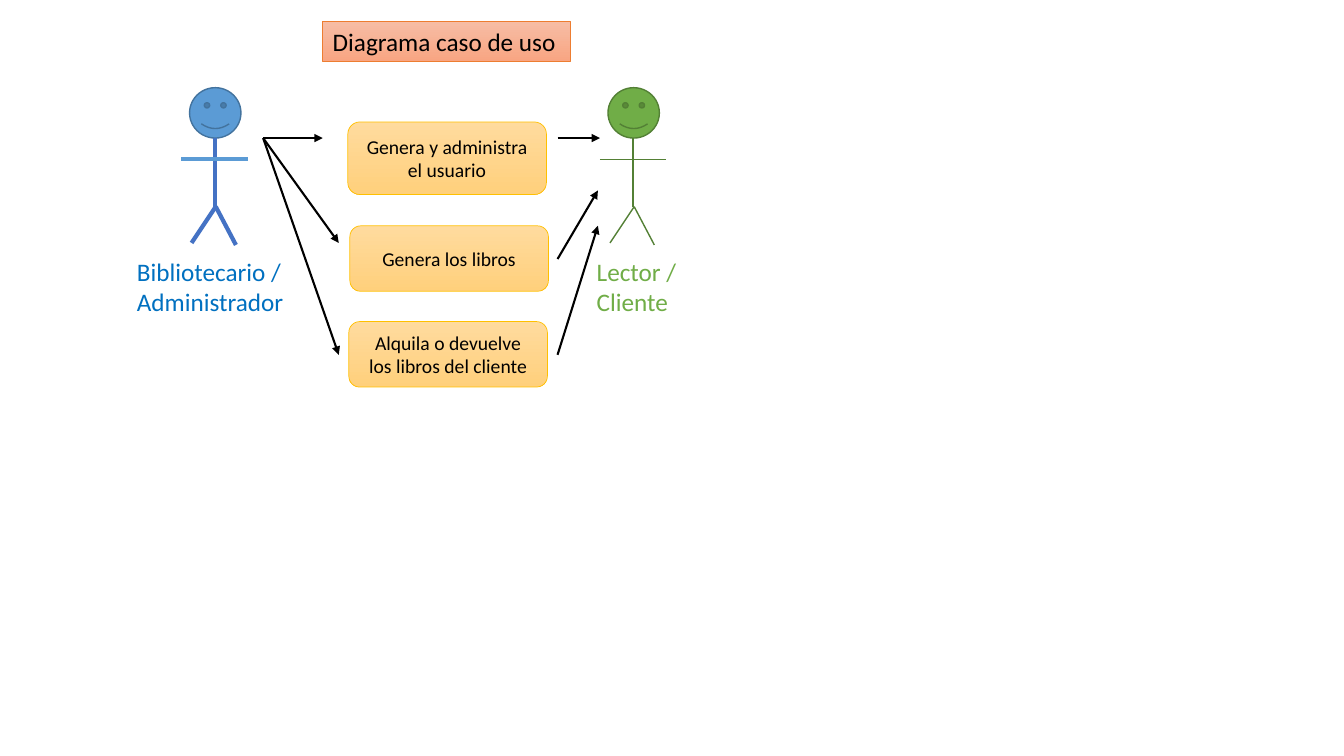
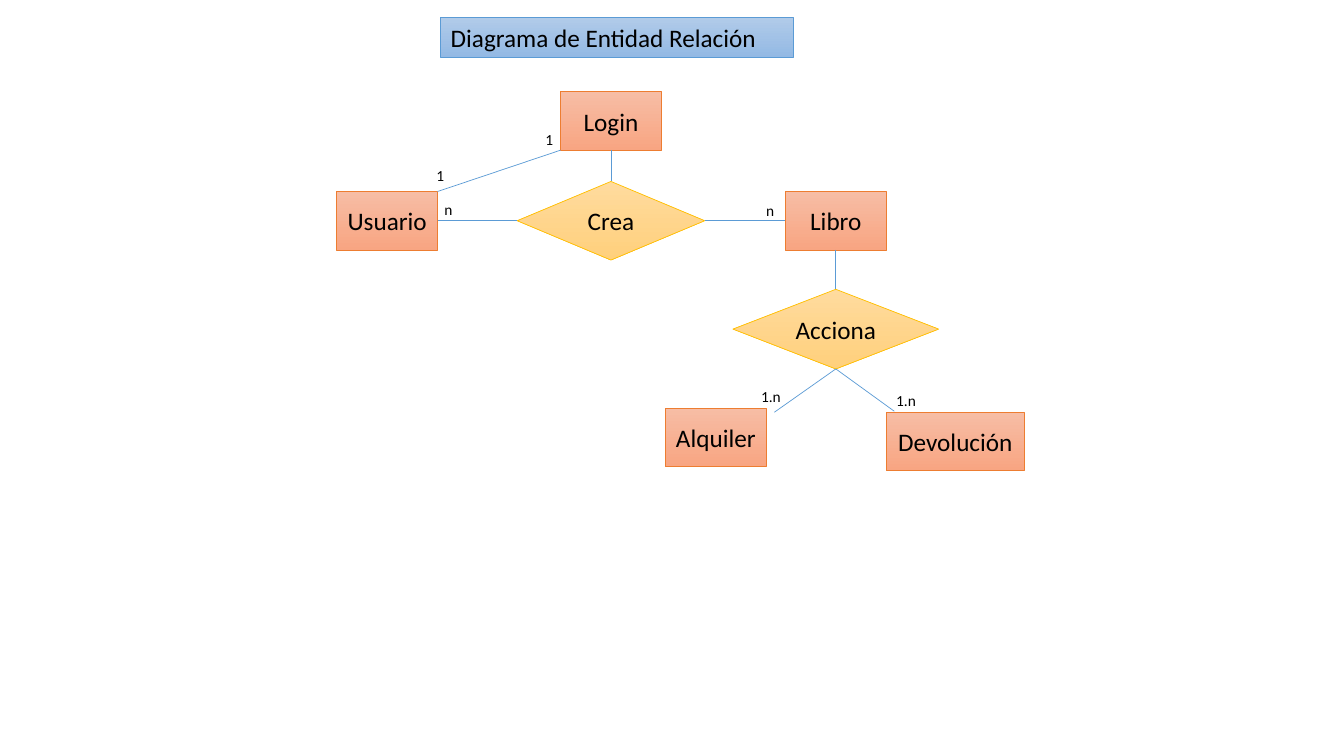
"""Build two slides: a use case diagram and an entity relationship diagram."""
from dataclasses import dataclass

from lxml import etree
from pptx import Presentation
from pptx.dml.color import RGBColor
from pptx.enum.shapes import MSO_CONNECTOR, MSO_SHAPE
from pptx.enum.text import MSO_ANCHOR, MSO_AUTO_SIZE, PP_ALIGN
from pptx.oxml.ns import qn
from pptx.util import Emu, Pt

EMU_PER_PX = 9144
TITLE_ONLY = 5
TOP, LEFT, BOTTOM, RIGHT = range(4)
STRAIGHT, ELBOW = MSO_CONNECTOR.STRAIGHT, MSO_CONNECTOR.ELBOW
RECT, ROUNDED = MSO_SHAPE.RECTANGLE, MSO_SHAPE.ROUNDED_RECTANGLE
DIAMOND, SMILEY = MSO_SHAPE.DIAMOND, MSO_SHAPE.SMILEY_FACE
ALIGN_LEFT, ALIGN_CENTER = PP_ALIGN.LEFT, PP_ALIGN.CENTER
ANCHOR_TOP, ANCHOR_MIDDLE = MSO_ANCHOR.TOP, MSO_ANCHOR.MIDDLE


@dataclass(frozen=True)
class Paint:
    """A vertical gradient with its outline colour."""
    start: str
    end: str
    outline: str


@dataclass(frozen=True)
class ActorStyle:
    """The colours and line width of one stick figure."""
    head: str
    outline: str
    body: str
    arms: str
    label: str
    stroke: float


@dataclass(frozen=True)
class Theme:
    """Colours, font and sizes shared by the slides."""
    font: str = "Calibri"
    ink: str = "000000"
    link: str = "5B9BD5"
    heading: int = 18
    case: int = 14
    cardinality: int = 11
    hairline: float = 0.5
    arrow: float = 1.5
    orange: Paint = Paint("F7BDA5", "F8A582", "ED7D31")
    yellow: Paint = Paint("FFDB9E", "FFD07C", "FFC000")
    blue: Paint = Paint("B1CBE9", "93B9E4", "5B9BD5")
    librarian: ActorStyle = ActorStyle(
        "5B9BD5", "43739E", "4472C4", "5B9BD5", "0070C0", 3)
    reader: ActorStyle = ActorStyle(
        "70AD47", "538035", "538035", "538035", "70AD47", 1)


THEME = Theme()


def px(*lengths):
    """Turn pixel lengths into EMU."""
    return [Emu(length * EMU_PER_PX) for length in lengths]


def rgb(value):
    """Turn a hex string into a colour."""
    return RGBColor.from_string(value)


def write(shape, text, size, color=THEME.ink, align=ALIGN_LEFT, anchor=ANCHOR_TOP):
    """Put one formatted run of text into a shape."""
    frame = shape.text_frame
    frame.vertical_anchor = anchor
    para = frame.paragraphs[0]
    para.alignment = align
    para.line_spacing = 1.0
    span = para.add_run()
    span.text = text
    span.font.name = THEME.font
    span.font.size = Pt(size)
    span.font.color.rgb = rgb(color)


def outline(shape, color, width):
    """Set the line of a shape or connector."""
    shape.line.color.rgb = rgb(color)
    shape.line.width = Pt(width)


def paint_gradient(shape, paint):
    """Fill a shape from top to bottom and outline it."""
    shape.fill.gradient()
    shape.fill.gradient_angle = 270
    for stop, color in zip(shape.fill.gradient_stops, (paint.start, paint.end)):
        stop.color.rgb = rgb(color)
    outline(shape, paint.outline, THEME.hairline)


def add_node(page, kind, box, text, paint, size=THEME.heading):
    """Add a gradient shape with centred text."""
    node = page.shapes.add_shape(kind, *px(*box))
    node.shadow.inherit = False
    paint_gradient(node, paint)
    write(node, text, size, align=ALIGN_CENTER, anchor=ANCHOR_MIDDLE)
    return node


def add_label(shapes, box, text, size, color=THEME.ink, wrap=True):
    """Add a text box that grows with its text."""
    label = shapes.add_textbox(*px(*box))
    label.text_frame.word_wrap = wrap
    label.text_frame.auto_size = MSO_AUTO_SIZE.SHAPE_TO_FIT_TEXT
    write(label, text, size, color)


def add_line(shapes, start, end, color, width, kind=STRAIGHT, arrow=False):
    """Add a connector without shadow, with an arrowhead on request."""
    line = shapes.add_connector(kind, *px(*start, *end))
    outline(line, color, width)
    if arrow:
        etree.SubElement(line.line._get_or_add_ln(), qn("a:tailEnd"), type="triangle")
    etree.SubElement(line._element.spPr, qn("a:effectLst"))
    return line


def add_page(deck, title, box, paint):
    """Add a slide and format its title as a gradient band."""
    page = deck.slides.add_slide(deck.slide_layouts[TITLE_ONLY])
    band = page.shapes.title
    band.left, band.top, band.width, band.height = px(*box)
    band.text_frame.auto_size = MSO_AUTO_SIZE.NONE
    paint_gradient(band, paint)
    write(band, title, THEME.heading)
    return page


def add_actor(page, left, top, style, text, label_shift, label_width):
    """Add a grouped stick figure with its label below."""
    parts = page.shapes.add_group_shape().shapes
    head = parts.add_shape(SMILEY, *px(left + 8, top, 51, 50))
    head.shadow.inherit = False
    head.fill.solid()
    head.fill.fore_color.rgb = rgb(style.head)
    outline(head, style.outline, 1)
    limbs = [
        ((33, 50), (33, 118), style.body),
        ((34, 118), (54, 156), style.body),
        ((34, 118), (10, 154), style.body),
        ((0, 71), (66, 71), style.arms),
    ]
    for (x1, y1), (x2, y2), color in limbs:
        add_line(parts, (left + x1, top + y1), (left + x2, top + y2),
                 color, style.stroke)
    add_label(parts, (left + label_shift, top + 162, label_width, 71),
              text, THEME.heading, style.label)


def add_use_cases(page, left, top):
    """Add both actors, the use cases and the arrows between them."""
    add_actor(page, left + 54, top, THEME.librarian,
              "Bibliotecario / Administrador", -54, 174)
    add_actor(page, left + 469, top, THEME.reader, "Lector / Cliente", -13, 113)
    cases = [
        (219, 34, 72, "Genera y administra el usuario"),
        (221, 137, 65, "Genera los libros"),
        (220, 232, 65, "Alquila o devuelve los libros del cliente"),
    ]
    for x, y, height, text in cases:
        add_node(page, ROUNDED, (left + x, top + y, 197, height), text,
                 THEME.yellow, THEME.case)
    arrows = [
        ((135, 50), (194, 50)),
        ((135, 50), (210, 154)),
        ((135, 50), (210, 265)),
        ((427, 50), (469, 50)),
        ((427, 170), (467, 102)),
        ((427, 265), (467, 137)),
    ]
    for (x1, y1), (x2, y2) in arrows:
        add_line(page.shapes, (left + x1, top + y1), (left + x2, top + y2),
                 THEME.ink, THEME.arrow, arrow=True)


def add_entities(page, left, top):
    """Add entities, relationships, links and cardinalities."""
    boxes = [
        ("Login", RECT, 222, 0, 100, 58),
        ("Usuario", RECT, 0, 99, 100, 58),
        ("Libro", RECT, 445, 99, 100, 58),
        ("Alquiler", RECT, 326, 314, 100, 58),
        ("Devolución", RECT, 545, 318, 137, 58),
        ("Crea", DIAMOND, 179, 89, 186, 78),
        ("Acciona", DIAMOND, 393, 196, 204, 79),
    ]
    nodes = {}
    for name, kind, x, y, width, height in boxes:
        paint = THEME.yellow if kind == DIAMOND else THEME.orange
        nodes[name] = add_node(page, kind, (left + x, top + y, width, height),
                               name, paint)
    joins = [
        ("Usuario", RIGHT, "Crea", LEFT, ELBOW),
        ("Crea", RIGHT, "Libro", LEFT, ELBOW),
        ("Login", BOTTOM, "Crea", TOP, STRAIGHT),
        ("Libro", BOTTOM, "Acciona", TOP, STRAIGHT),
    ]
    for source, source_side, target, target_side, kind in joins:
        link = add_line(page.shapes, (left, top), (left, top),
                        THEME.link, THEME.hairline, kind)
        link.begin_connect(nodes[source], source_side)
        link.end_connect(nodes[target], target_side)
    slants = [
        ((495, 275), (434, 318)),
        ((495, 275), (553, 317)),
        ((100, 99), (222, 58)),
    ]
    for (x1, y1), (x2, y2) in slants:
        add_line(page.shapes, (left + x1, top + y1), (left + x2, top + y2),
                 THEME.link, THEME.hairline)
    cardinalities = [
        ("1", 89, 69, 28, False),
        ("1", 197, 33, 28, False),
        ("n", 97, 103, 28, False),
        ("n", 416, 104, 28, False),
        ("1.n", 411, 288, 46, True),
        ("1.n", 545, 292, 46, True),
    ]
    for text, x, y, width, wrap in cardinalities:
        add_label(page.shapes, (left + x, top + y, width, 29), text,
                  THEME.cardinality, wrap=wrap)


def main():
    """Build and save the deck."""
    deck = Presentation()
    deck.slide_width, deck.slide_height = px(1333, 750)
    page = add_page(deck, "Diagrama caso de uso", (320, 21, 246, 40), THEME.orange)
    add_use_cases(page, 126, 87)
    page = add_page(deck, "Diagrama de Entidad Relación", (437, 17, 350, 40),
                    THEME.blue)
    add_entities(page, 334, 91)
    deck.save("out.pptx")


if __name__ == "__main__":
    main()
